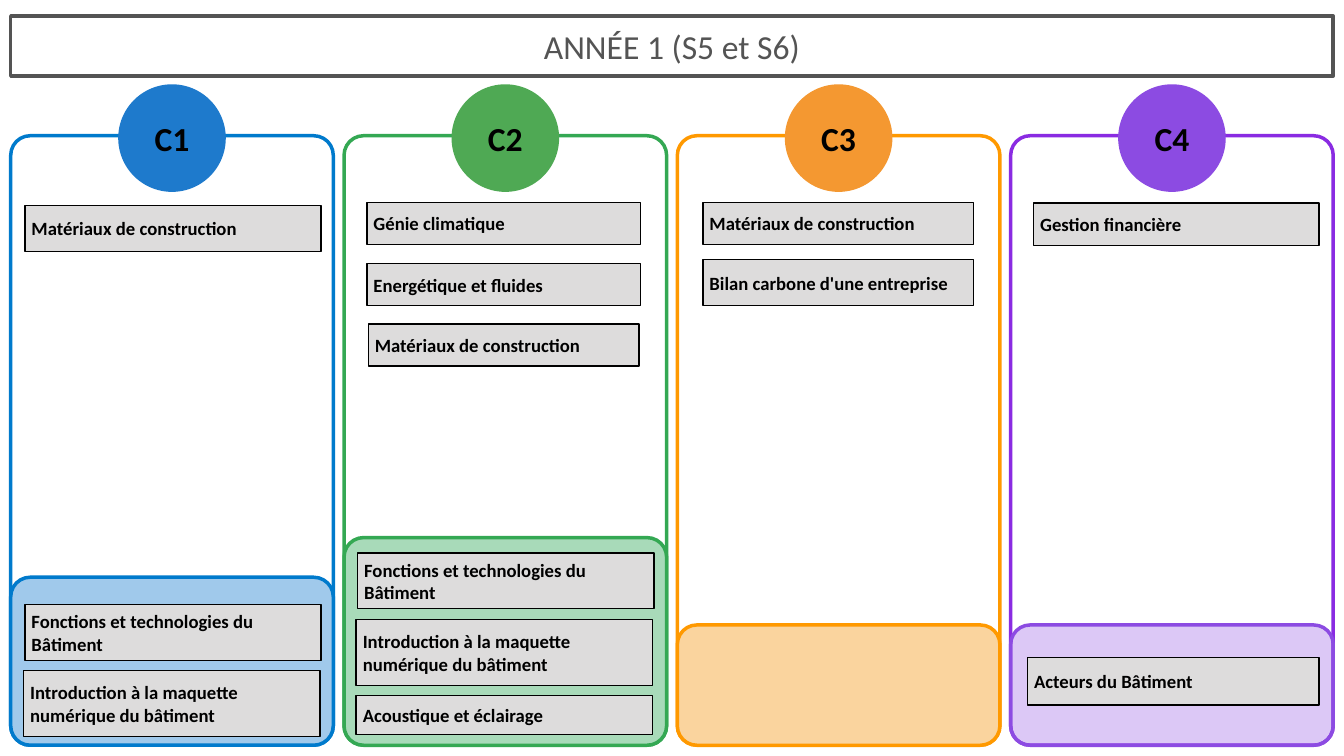
from pptx import Presentation
from pptx.dml.color import RGBColor as RGB
from pptx.enum.shapes import MSO_SHAPE as Shape
from pptx.enum.text import MSO_ANCHOR as Anchor, PP_ALIGN as Align
from pptx.oxml.ns import qn
from pptx.util import Inches, Pt
from lxml.etree import SubElement

FONT = "Calibri"
COLORS = {
    "title": "545454", "text": "000000", "course": "DDDCDC",
    "C1": "007ACC", "C1 disc": "1E7ACC", "C1 panel": "A0C9EB",
    "C2": "34A853", "C2 disc": "4FA954", "C2 panel": "A8DAB9",
    "C3": "FF9900", "C3 disc": "F49831", "C3 panel": "FAD49E",
    "C4": "8A2BE2", "C4 disc": "8C4BE2", "C4 panel": "8C4BE2",
}
SLIDE_W, SLIDE_H = 20, 11.25
MARGIN, PITCH, COLUMN_W = 0.16, 4.96, 4.8
COLUMN_TOP, COLUMN_BOTTOM = 2.02, 11.09
DISC_TOP, DISC_SIZE = 1.27, 1.57
RADIUS = 0.29

MATERIALS = "Matériaux de construction"
FUNCTIONS = "Fonctions et technologies du Bâtiment"
MODEL = "Introduction à la maquette numérique du bâtiment"

# name: panel top, panel outline, panel alpha, courses (inset, top, width, height, label)
SKILLS = {
    "C1": (8.59, "C1", 100, [
        (0.21, 3.06, 4.41, 0.68, MATERIALS),
        (0.21, 9.0, 4.41, 0.83, FUNCTIONS),
        (0.19, 9.98, 4.41, 0.98, MODEL),
    ]),
    "C2": (8.0, "C2", 100, [
        (0.34, 3.01, 4.07, 0.63, "Génie climatique"),
        (0.34, 3.92, 4.07, 0.63, "Energétique et fluides"),
        (0.36, 4.82, 4.03, 0.63, MATERIALS),
        (0.2, 8.23, 4.41, 0.83, FUNCTIONS),
        (0.18, 9.22, 4.41, 0.98, MODEL),
        (0.18, 10.35, 4.41, 0.58, "Acoustique et éclairage"),
    ]),
    "C3": (9.3, "C3", 100, [
        (0.38, 3.01, 4.03, 0.63, MATERIALS),
        (0.38, 3.86, 4.03, 0.69, "Bilan carbone d'une entreprise"),
    ]),
    "C4": (9.3, "C4 disc", 30, [
        (0.34, 3.02, 4.25, 0.63, "Gestion financière"),
        (0.25, 9.78, 4.34, 0.71, "Acteurs du Bâtiment"),
    ]),
}


def color(name):
    return RGB.from_string(COLORS[name])


def outline(shape, name, width):
    shape.line.color.rgb = color(name)
    shape.line.width = Pt(width)


def write(shape, label, size, name, align, bold):
    frame = shape.text_frame
    frame.word_wrap = True
    frame.vertical_anchor = Anchor.MIDDLE
    frame.text = label
    line = frame.paragraphs[0]
    line.alignment = align
    line.font.name = FONT
    line.font.size = Pt(size)
    line.font.bold = bold
    line.font.color.rgb = color(name)


def add_block(slide, kind, left, top, width, height, fill, line, line_width):
    block = slide.shapes.add_shape(
        kind, Inches(left), Inches(top), Inches(width), Inches(height))
    block.shadow.inherit = False
    if fill:
        block.fill.solid()
        block.fill.fore_color.rgb = color(fill)
    else:
        block.fill.background()
    outline(block, line, line_width)
    return block


def add_frame(slide, left, top, fill, line):
    height = COLUMN_BOTTOM - top
    frame = add_block(slide, Shape.ROUNDED_RECTANGLE, left, top,
                      COLUMN_W, height, fill, line, 3.75)
    frame.adjustments[0] = RADIUS / min(COLUMN_W, height)
    return frame


def set_alpha(shape, percent):
    tint = shape.fill._xPr.find(qn("a:solidFill"))[0]
    SubElement(tint, qn("a:alpha")).set("val", str(percent * 1000))


def add_disc(slide, left, skill):
    disc = add_block(slide, Shape.OVAL, left + (COLUMN_W - DISC_SIZE) / 2, DISC_TOP,
                     DISC_SIZE, DISC_SIZE, f"{skill} disc", f"{skill} disc", 2.25)
    frame = disc.text_frame
    frame.margin_left = frame.margin_right = frame.margin_top = frame.margin_bottom = 0
    write(disc, skill, 36, "text", Align.CENTER, True)


def add_course(slide, left, top, width, height, label):
    course = add_block(slide, Shape.RECTANGLE, left, top, width, height,
                       "course", "text", 1.5)
    write(course, label, 20, "text", Align.LEFT, True)


def add_skill(slide, index, skill):
    left = MARGIN + index * PITCH
    panel_top, panel_line, alpha, courses = SKILLS[skill]
    add_frame(slide, left, COLUMN_TOP, None, skill)
    add_disc(slide, left, skill)
    panel = add_frame(slide, left, panel_top, f"{skill} panel", panel_line)
    if alpha < 100:
        set_alpha(panel, alpha)
    for inset, top, width, height, label in courses:
        add_course(slide, left + inset, top, width, height, label)


def set_title(slide, label):
    title = slide.shapes.title
    title.left, title.top = Inches(MARGIN), Inches(0.24)
    title.width, title.height = Inches(SLIDE_W - 2 * MARGIN), Inches(0.89)
    outline(title, "title", 3.75)
    write(title, label, 36, "title", Align.CENTER, False)


def main():
    deck = Presentation()
    deck.slide_width, deck.slide_height = Inches(SLIDE_W), Inches(SLIDE_H)
    slide = deck.slides.add_slide(deck.slide_layouts[5])
    set_title(slide, "ANNÉE 1 (S5 et S6)")
    for index, skill in enumerate(SKILLS):
        add_skill(slide, index, skill)
    deck.save("out.pptx")


if __name__ == "__main__":
    main()
